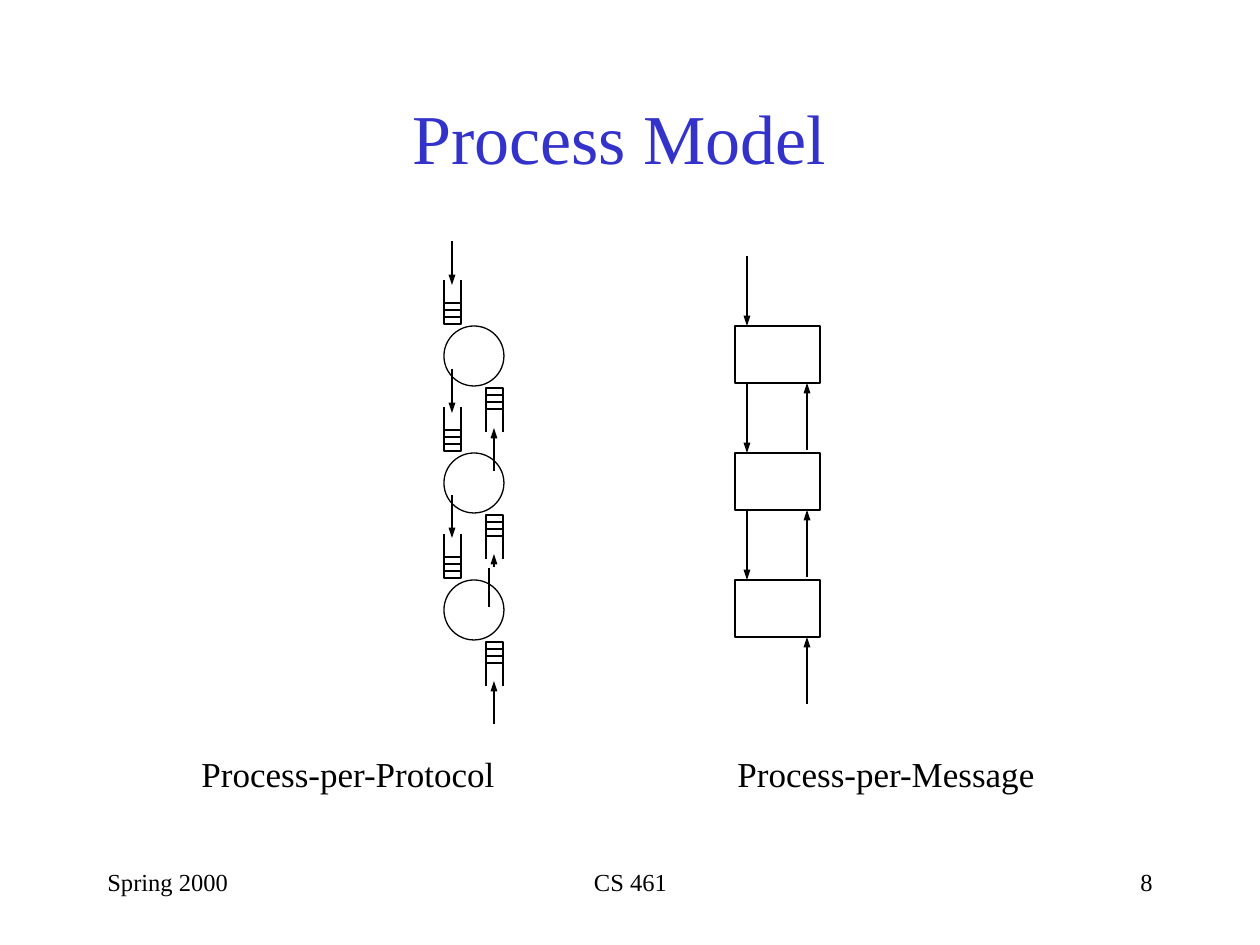
from lxml.etree import SubElement
from pptx import Presentation
from pptx.dml.color import RGBColor
from pptx.enum.shapes import MSO_CONNECTOR as CONNECTOR, MSO_SHAPE as SHAPE
from pptx.enum.text import MSO_ANCHOR as ANCHOR, PP_ALIGN as ALIGN
from pptx.oxml.ns import qn
from pptx.util import Pt

PX = 914400 / 126
COLORS = {"title": "3333CC", "ink": "000000"}
FONT = "Times New Roman"

TITLE = ("Process Model", (84, 63, 1071, 158))
CAPTIONS = [
    ("Process-per-Protocol", (189, 746, 336, 55)),
    ("Process-per-Message", (725, 746, 336, 55)),
]
FOOTERS = [
    ("Spring 2000", (95, 861, 262, 63), ALIGN.LEFT),
    ("CS 461", (431, 861, 399, 63), ALIGN.CENTER),
    ("8", (903, 861, 262, 63), ALIGN.RIGHT),
]

STAGES = 3
STAGE_TOP, STAGE_STEP = 326, 127
CIRCLE_LEFT, CIRCLE_SIZE = 444, 60
QUEUE_WIDTH, QUEUE_DEPTH, SLOT = 17, 44, 7
DOWN_QUEUE_LEFT, UP_QUEUE_LEFT = 444, 486
QUEUE_GAP = 2
PROTOCOL_DOWN = [(452, 241, 285), (452, 369, 413), (452, 495, 538)]
PROTOCOL_UP = [(494, 471, 428), (494, 567, 554), (494, 724, 681)]
PROTOCOL_STEM = (489, 607, 568)
BOX_LEFT, BOX_WIDTH, BOX_HEIGHT = 735, 85, 57
MESSAGE_DOWN_X, MESSAGE_UP_X = 747, 807
DOWN_LENGTH, UP_LENGTH = 70, 67

prs = Presentation()
prs.slide_width, prs.slide_height = px_size = (int(1260 * PX), int(945 * PX))
slide = prs.slides.add_slide(prs.slide_layouts[6])
shapes = slide.shapes


def px(*lengths):
    return [round(length * PX) for length in lengths]


def ink(line):
    line.color.rgb = RGBColor.from_string(COLORS["ink"])
    line.width = Pt(0.75)


def add_text(text, box, size, color="ink", align=ALIGN.LEFT, anchor=ANCHOR.TOP, spacing=None):
    frame = shapes.add_textbox(*px(*box)).text_frame
    frame.word_wrap = True
    frame.vertical_anchor = anchor
    paragraph = frame.paragraphs[0]
    paragraph.alignment = align
    paragraph.line_spacing = spacing
    run = paragraph.add_run()
    run.text = text
    run.font.name = FONT
    run.font.size = Pt(size)
    run.font.color.rgb = RGBColor.from_string(COLORS[color])


def add_line(x1, y1, x2, y2, arrow=False):
    connector = shapes.add_connector(CONNECTOR.STRAIGHT, *px(x1, y1, x2, y2))
    ink(connector.line)
    if arrow:
        SubElement(connector.line._get_or_add_ln(), qn("a:tailEnd"), type="triangle", w="sm", len="med")
    SubElement(connector._element.spPr, qn("a:effectLst"))


def add_arrow(x, start, end):
    add_line(x, start, x, end, arrow=True)


def add_outline(kind, *box):
    outline = shapes.add_shape(kind, *px(*box))
    outline.shadow.inherit = False
    outline.fill.background()
    ink(outline.line)


def add_queue(left, closed, direction):
    right, opened = left + QUEUE_WIDTH, closed + direction * QUEUE_DEPTH
    builder = shapes.build_freeform(left, opened, scale=PX)
    builder.add_line_segments([(left, closed), (right, closed), (right, opened)], close=False)
    queue = builder.convert_to_shape()
    queue.shadow.inherit = False
    queue.fill.background()
    ink(queue.line)
    for slot in range(1, 4):
        y = closed + direction * slot * SLOT
        add_line(left, y, right, y)


add_text(*TITLE, size=40, color="title", align=ALIGN.CENTER, anchor=ANCHOR.MIDDLE, spacing=0.9)

for stage in range(STAGES):
    top = STAGE_TOP + stage * STAGE_STEP
    add_queue(DOWN_QUEUE_LEFT, top - QUEUE_GAP, -1)
    add_outline(SHAPE.OVAL, CIRCLE_LEFT, top, CIRCLE_SIZE, CIRCLE_SIZE)
    add_queue(UP_QUEUE_LEFT, top + CIRCLE_SIZE + QUEUE_GAP, 1)

    bottom = top + BOX_HEIGHT
    add_outline(SHAPE.RECTANGLE, BOX_LEFT, top, BOX_WIDTH, BOX_HEIGHT)
    add_arrow(MESSAGE_DOWN_X, top - DOWN_LENGTH, top)
    add_arrow(MESSAGE_UP_X, bottom + UP_LENGTH, bottom)

for x, start, end in PROTOCOL_DOWN + PROTOCOL_UP:
    add_arrow(x, start, end)
stem_x, stem_start, stem_end = PROTOCOL_STEM
add_line(stem_x, stem_start, stem_x, stem_end)

for caption, box in CAPTIONS:
    add_text(caption, box, size=20)
for footer, box, align in FOOTERS:
    add_text(footer, box, size=14, align=align)

prs.save("out.pptx")
